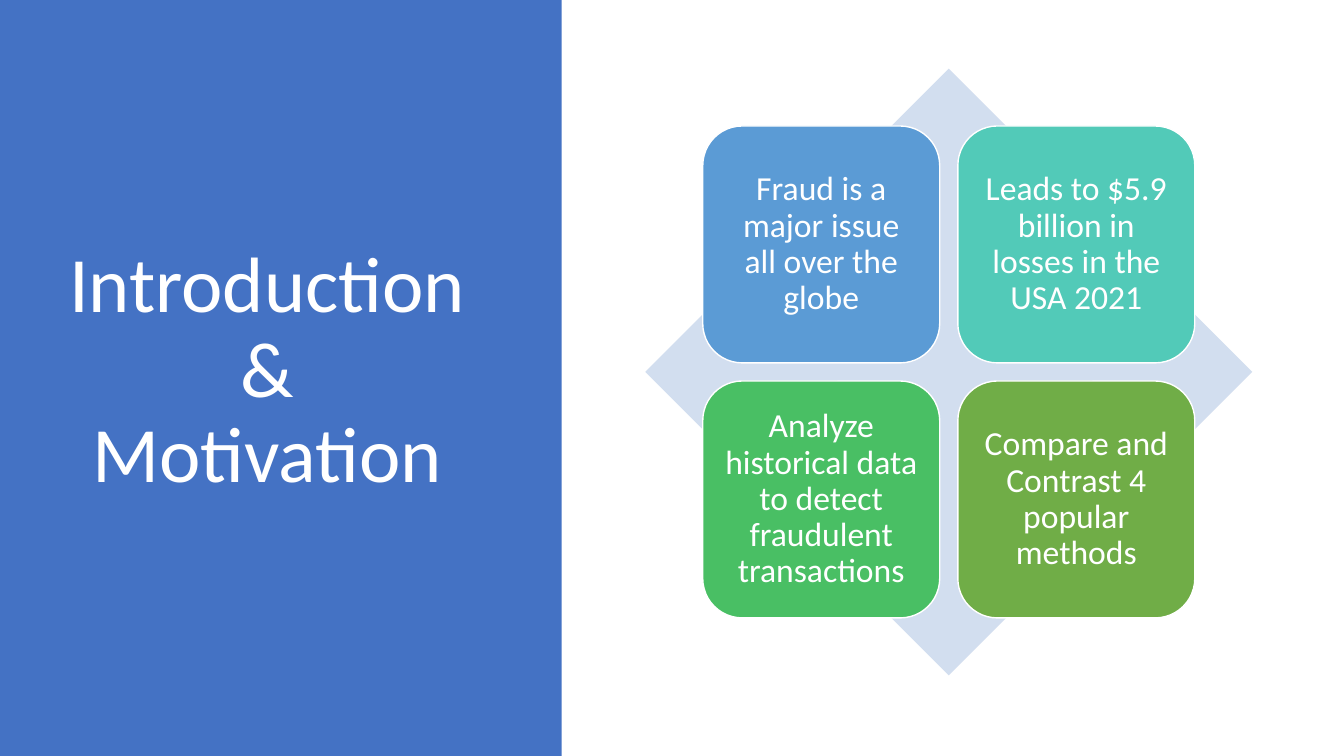
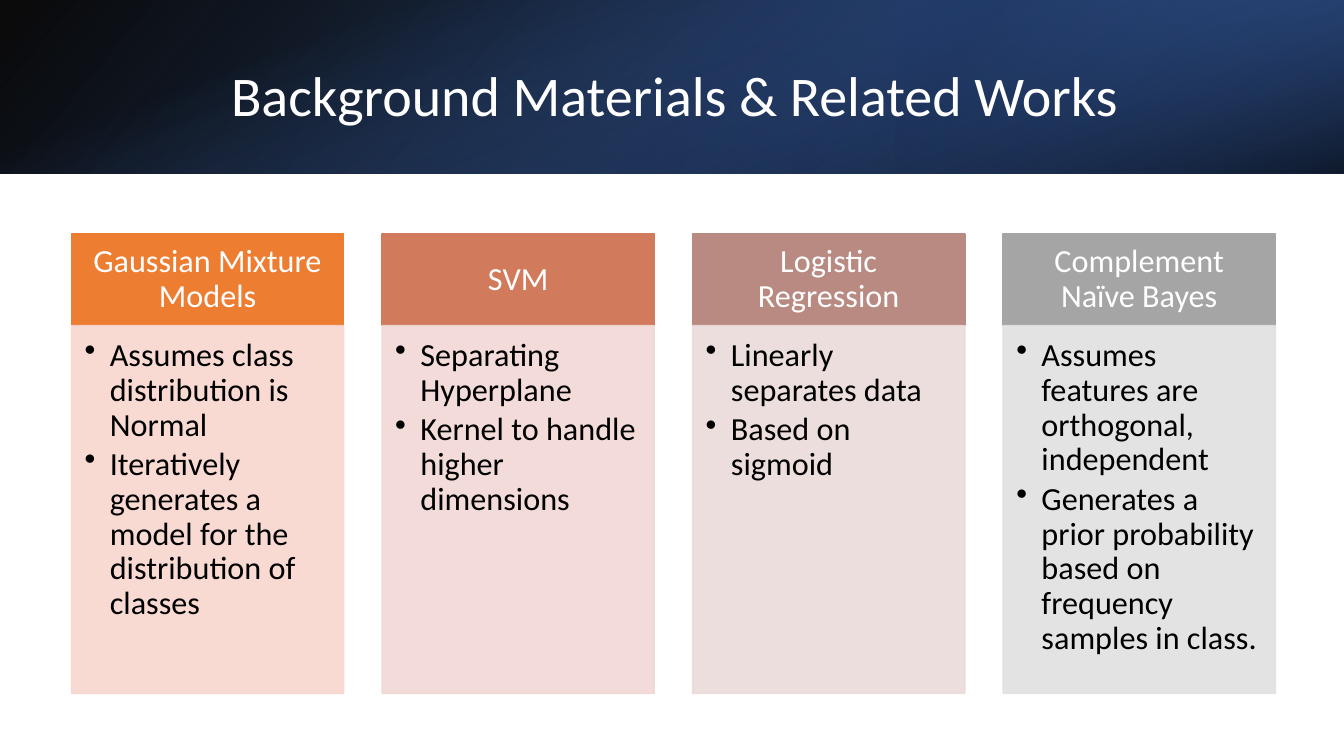
from dataclasses import dataclass

from lxml.etree import SubElement
from pptx import Presentation
from pptx.dml.color import RGBColor
from pptx.enum.shapes import MSO_SHAPE
from pptx.enum.text import MSO_ANCHOR, PP_ALIGN
from pptx.oxml import parse_xml
from pptx.oxml.ns import nsdecls, qn
from pptx.util import Inches, Pt

SLIDE_WIDTH, SLIDE_HEIGHT = 13.33, 7.5


@dataclass(frozen=True)
class Theme:
    font: str = "Calibri"
    white: str = "FFFFFF"
    black: str = "000000"
    blue: str = "4472C4"
    mid_blue: str = "2F5597"
    navy: str = "203864"
    pale_blue: str = "D2DEEF"
    tiles: tuple = ("5B9BD5", "52CAB8", "49BF64", "70AD47")
    headers: tuple = ("ED7D31", "D17B5C", "B98A82", "A5A5A5")
    bodies: tuple = ("F8D7CE", "F1D8D4", "E9DBDA", "E1E1E1")
    body_opacity: int = 90
    big_title_size: int = 56
    title_size: int = 40
    tile_size: int = 24
    column_size: int = 23
    line_spacing: float = 0.9


class Deck:
    """Holds the theme, the presentation and the slide being built."""

    def __init__(self, theme):
        self.theme = theme
        self.presentation = Presentation()
        self.presentation.slide_width = Inches(SLIDE_WIDTH)
        self.presentation.slide_height = Inches(SLIDE_HEIGHT)
        self.slide = None

    def new_slide(self):
        blank = self.presentation.slide_layouts[6]
        self.slide = self.presentation.slides.add_slide(blank)

    def block(self, box, fill=None, line=None, opacity=100, kind=MSO_SHAPE.RECTANGLE):
        shape = self.slide.shapes.add_shape(kind, *map(Inches, box))
        shape.shadow.inherit = False
        if fill:
            self.paint(shape.fill, fill, opacity)
        if line:
            shape.line.width = Pt(1)
            self.paint(shape.line.fill, line, opacity)
        else:
            shape.line.fill.background()
        return shape

    def paint(self, fill, color, opacity):
        fill.solid()
        fill.fore_color.rgb = RGBColor.from_string(color)
        if opacity < 100:
            for srgb in fill._xPr.iter(qn("a:srgbClr")):
                # A line's fill is nested in the shape properties, so skip colours already done
                if srgb.find(qn("a:alpha")) is None:
                    SubElement(srgb, qn("a:alpha"), val=str(opacity * 1000))

    def gradient_band(self, box, stops, angle, rotation=0, flip=False):
        """Stops are (position, colour, opacity), all but colour in percent."""
        band = self.block(box)
        band.rotation = rotation
        properties = band._element.spPr
        if flip:
            properties.xfrm.set("flipH", "1")
        stop_xml = "".join(
            f'<a:gs pos="{position * 1000}"><a:srgbClr val="{color}">'
            f'<a:alpha val="{opacity * 1000}"/></a:srgbClr></a:gs>'
            for position, color, opacity in stops
        )
        gradient = parse_xml(
            f'<a:gradFill {nsdecls("a")} rotWithShape="1"><a:gsLst>{stop_xml}</a:gsLst>'
            f'<a:lin ang="{angle * 60000}" scaled="0"/></a:gradFill>'
        )
        properties.find(qn("a:prstGeom")).addnext(gradient)

    def set_text(self, shape, lines, size, color, insets=(0.1, 0.1, 0.1, 0.1), bullets=False):
        frame = shape.text_frame
        frame.word_wrap = True
        frame.vertical_anchor = MSO_ANCHOR.TOP if bullets else MSO_ANCHOR.MIDDLE
        (frame.margin_left, frame.margin_top,
         frame.margin_right, frame.margin_bottom) = map(Inches, insets)
        frame.text = "\n".join(lines)
        for paragraph in frame.paragraphs:
            paragraph.alignment = PP_ALIGN.LEFT if bullets else PP_ALIGN.CENTER
            paragraph.line_spacing = self.theme.line_spacing
            paragraph.font.name = self.theme.font
            paragraph.font.size = Pt(size)
            paragraph.font.color.rgb = RGBColor.from_string(color)
            if bullets:
                paragraph.space_after = Pt(size * 0.15)
                self.add_bullet(paragraph)

    def add_bullet(self, paragraph):
        properties = paragraph._p.get_or_add_pPr()
        properties.set("marL", str(Inches(0.25)))
        properties.set("indent", str(-Inches(0.25)))
        bullet = parse_xml(f'<a:buChar {nsdecls("a")} char="•"/>')
        properties.find(qn("a:spcAft")).addnext(bullet)

    def title(self, box, text, size):
        heading = self.slide.shapes.add_textbox(*map(Inches, box))
        self.set_text(heading, [text], size, self.theme.white, (0.1, 0.05, 0.1, 0.05))


def build_introduction(deck):
    theme = deck.theme
    deck.new_slide()

    # Title panel
    deck.block((0, 0, 5.57, SLIDE_HEIGHT), theme.blue)
    deck.title((0.57, 0.68, 4.16, 6.02), "Introduction & Motivation", theme.big_title_size)

    # Four tiles over a diamond
    deck.block((6.4, 0.68, 6.02, 6.02), theme.pale_blue, kind=MSO_SHAPE.DIAMOND)
    points = (
        "Fraud is a major issue all over the globe",
        "Leads to $5.9 billion in losses in the USA 2021",
        "Analyze historical data to detect fraudulent transactions",
        "Compare and Contrast 4 popular methods",
    )
    side, pitch = 2.35, 2.53
    for index, (point, color) in enumerate(zip(points, theme.tiles)):
        row, column = divmod(index, 2)
        box = (6.97 + column * pitch, 1.25 + row * pitch, side, side)
        tile = deck.block(box, color, theme.white, kind=MSO_SHAPE.ROUNDED_RECTANGLE)
        deck.set_text(tile, [point], theme.tile_size, theme.white)


def build_background(deck):
    theme = deck.theme
    deck.new_slide()

    # Title band: three layered gradients
    height = 1.72
    deck.gradient_band((0, 0, SLIDE_WIDTH, height),
                       [(0, theme.black, 96), (100, theme.mid_blue, 100)], 140, flip=True)
    deck.gradient_band((SLIDE_WIDTH * 2 / 3, 0, SLIDE_WIDTH / 3, height),
                       [(19, theme.navy, 68), (100, theme.blue, 79)], 320, 180, flip=True)
    offset = (SLIDE_WIDTH - height) / 2
    deck.gradient_band((offset, -offset, height, SLIDE_WIDTH),
                       [(23, theme.blue, 0), (99, theme.black, 74)], 340, 90)
    deck.title((0.31, 0.38, 12.76, 1.19), "Background Materials & Related Works", theme.title_size)

    # One column per method
    methods = (
        ("Gaussian Mixture Models",
         ["Assumes class distribution is Normal",
          "Iteratively generates a model for the distribution of classes"]),
        ("SVM", ["Separating Hyperplane", "Kernel to handle higher dimensions"]),
        ("Logistic Regression", ["Linearly separates data", "Based on sigmoid"]),
        ("Complement Naïve Bayes",
         ["Assumes features are orthogonal, independent",
          "Generates a prior probability based on frequency samples in class."]),
    )
    width, pitch, top, header_height = 2.7, 3.08, 2.32, 0.91
    columns = zip(methods, theme.headers, theme.bodies)
    for index, ((method, notes), header_color, body_color) in enumerate(columns):
        left = 0.71 + index * pitch
        header = deck.block((left, top, width, header_height), header_color, header_color)
        deck.set_text(header, [method], theme.column_size, theme.white, (0.18, 0.1, 0.18, 0.1))
        body = deck.block((left, top + header_height, width, 3.65),
                          body_color, body_color, theme.body_opacity)
        deck.set_text(body, notes, theme.column_size, theme.black,
                      (0.13, 0.13, 0.18, 0.2), bullets=True)


def main():
    deck = Deck(Theme())
    build_introduction(deck)
    build_background(deck)
    deck.presentation.save("out.pptx")


if __name__ == "__main__":
    main()
